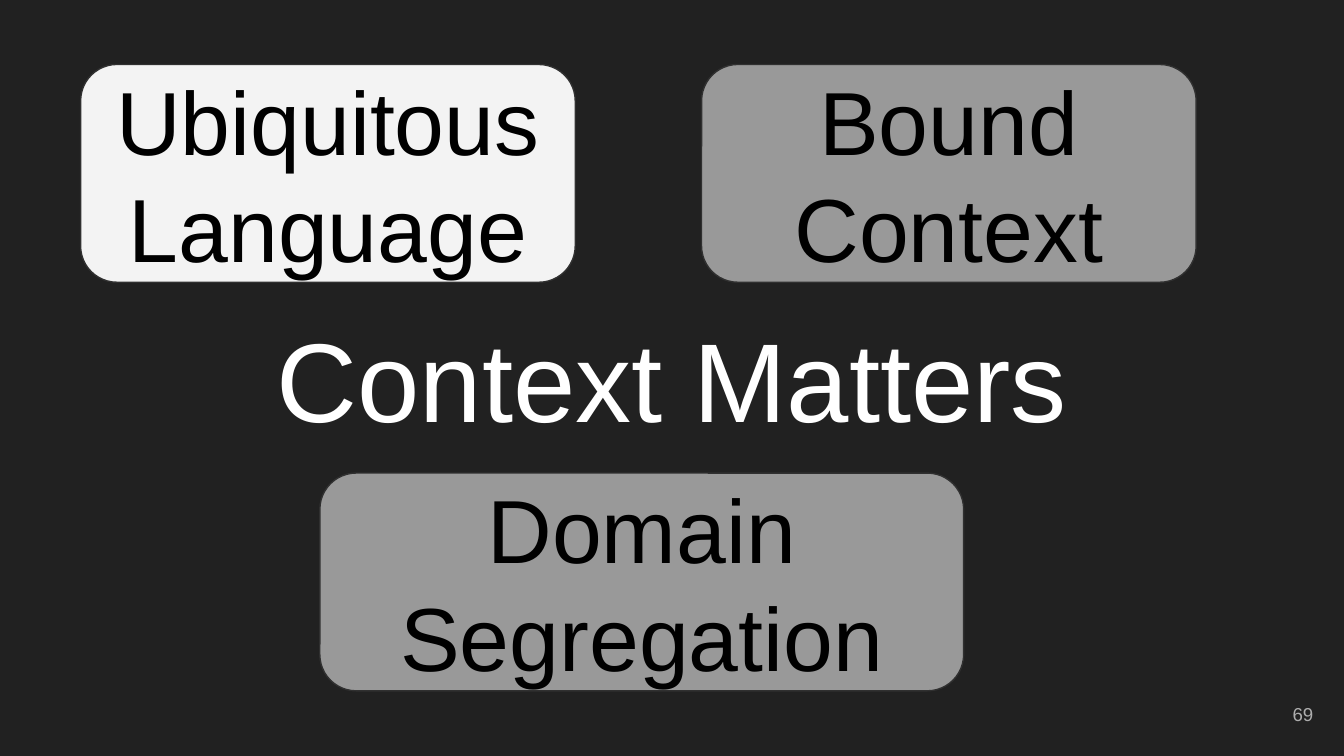
"""Build the "Context Matters" slide with its three concept boxes."""
import dataclasses

import pptx
import pptx.dml.color
import pptx.enum.shapes
import pptx.enum.text
import pptx.util

Inches = pptx.util.Inches
Align = pptx.enum.text.PP_ALIGN


@dataclasses.dataclass(frozen=True)
class Theme:
    font: str = "Arial"
    background: str = "212121"
    active: str = "F3F3F3"
    muted: str = "999999"
    outline: str = "303030"
    title: str = "FFFFFF"
    label: str = "000000"
    number: str = "ADADAD"
    title_size: int = 60
    label_size: int = 48
    number_size: int = 10


theme = Theme()


def color(value):
    return pptx.dml.color.RGBColor.from_string(value)


def write(box, text, size, text_color, alignment):
    frame = box.text_frame
    frame.word_wrap = True
    frame.vertical_anchor = pptx.enum.text.MSO_ANCHOR.MIDDLE
    frame.margin_left = frame.margin_right = Inches(0.1)
    frame.margin_top = frame.margin_bottom = Inches(0.1)
    para = frame.paragraphs[0]
    para.text = text
    para.alignment = alignment
    para.font.name = theme.font
    para.font.size = pptx.util.Pt(size)
    para.font.color.rgb = color(text_color)


deck = pptx.Presentation()
deck.slide_width = Inches(10)
deck.slide_height = deck.slide_width * 9 // 16
page = deck.slides.add_slide(deck.slide_layouts[6])
page.background.fill.solid()
page.background.fill.fore_color.rgb = color(theme.background)

title = page.shapes.add_textbox(Inches(0.34), Inches(2.35), Inches(9.32), Inches(0.92))
write(title, "Context Matters", theme.title_size, theme.title, Align.CENTER)

concepts = [
    ("Ubiquitous Language", 0.6, 0.48, 3.68, theme.active),
    ("Bound Context", 5.22, 0.48, 3.68, theme.muted),
    ("Domain Segregation", 2.38, 3.52, 4.79, theme.muted),
]
for label, left, top, width, fill in concepts:
    concept = page.shapes.add_shape(
        pptx.enum.shapes.MSO_SHAPE.ROUNDED_RECTANGLE,
        Inches(left), Inches(top), Inches(width), Inches(1.62),
    )
    concept.shadow.inherit = False
    concept.fill.solid()
    concept.fill.fore_color.rgb = color(fill)
    concept.line.color.rgb = color(theme.outline)
    concept.line.width = pptx.util.Pt(0.75)
    write(concept, label, theme.label_size, theme.label, Align.CENTER)

number = page.shapes.add_textbox(Inches(9.27), Inches(5.1), Inches(0.6), Inches(0.43))
write(number, "69", theme.number_size, theme.number, Align.RIGHT)

deck.save("out.pptx")
